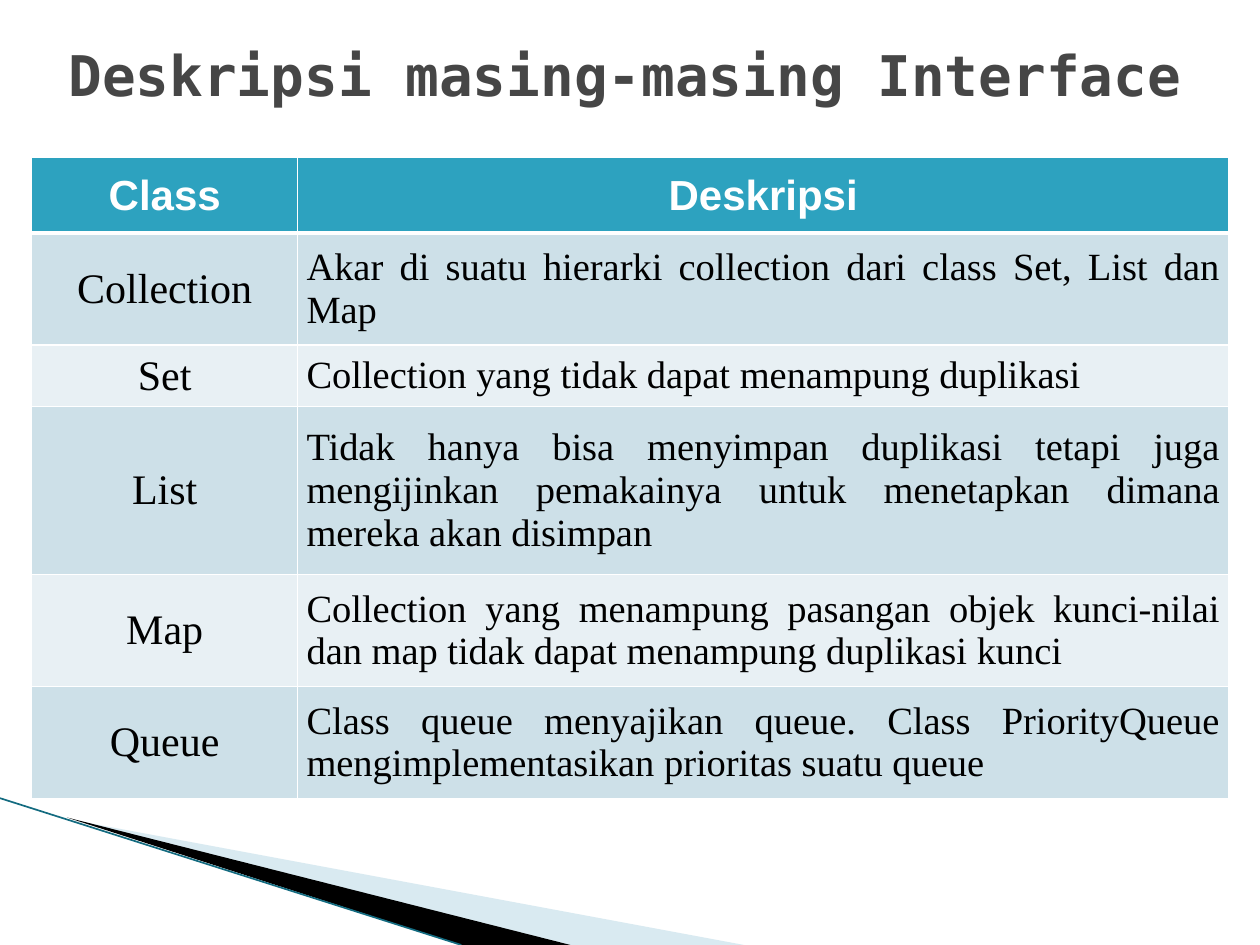
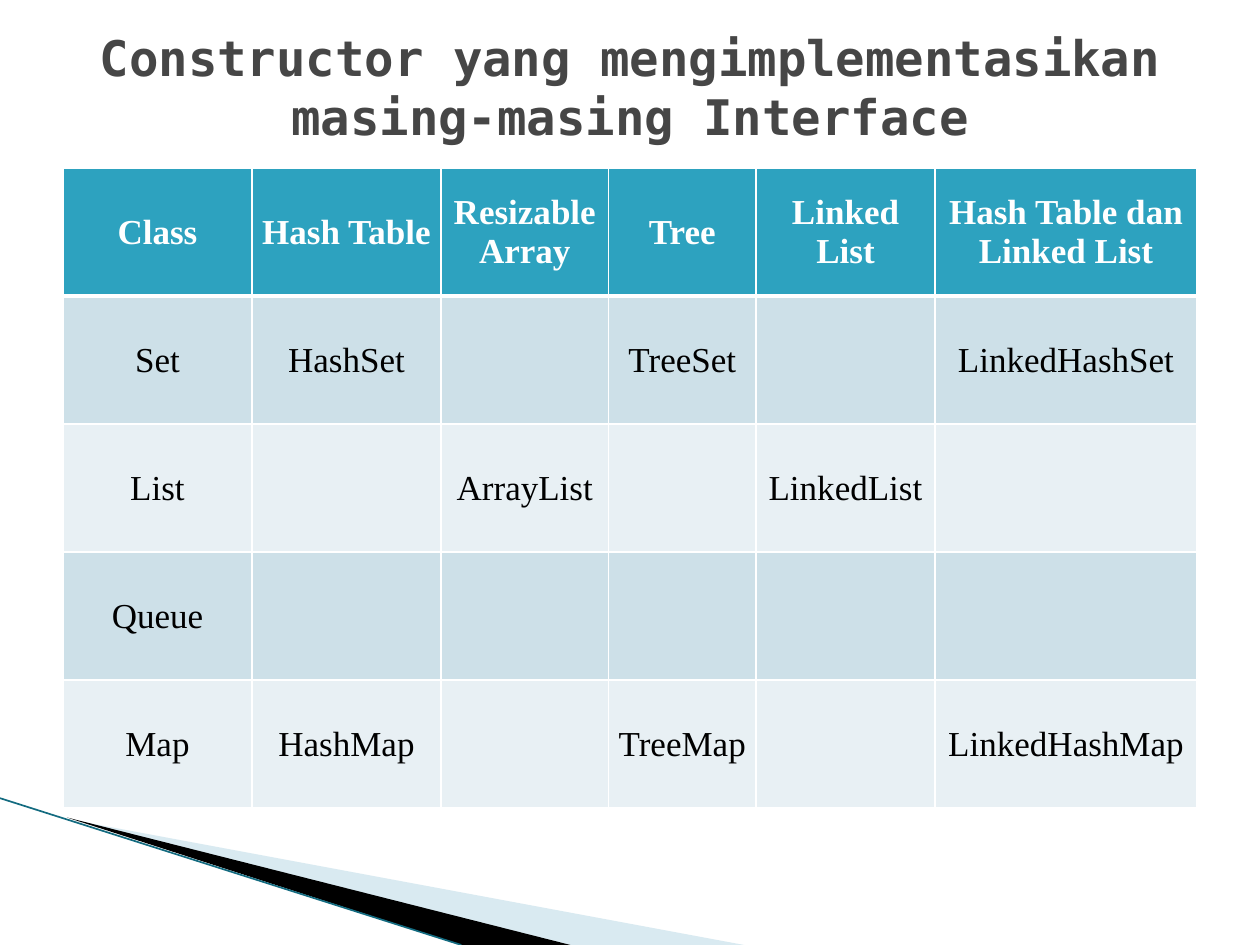
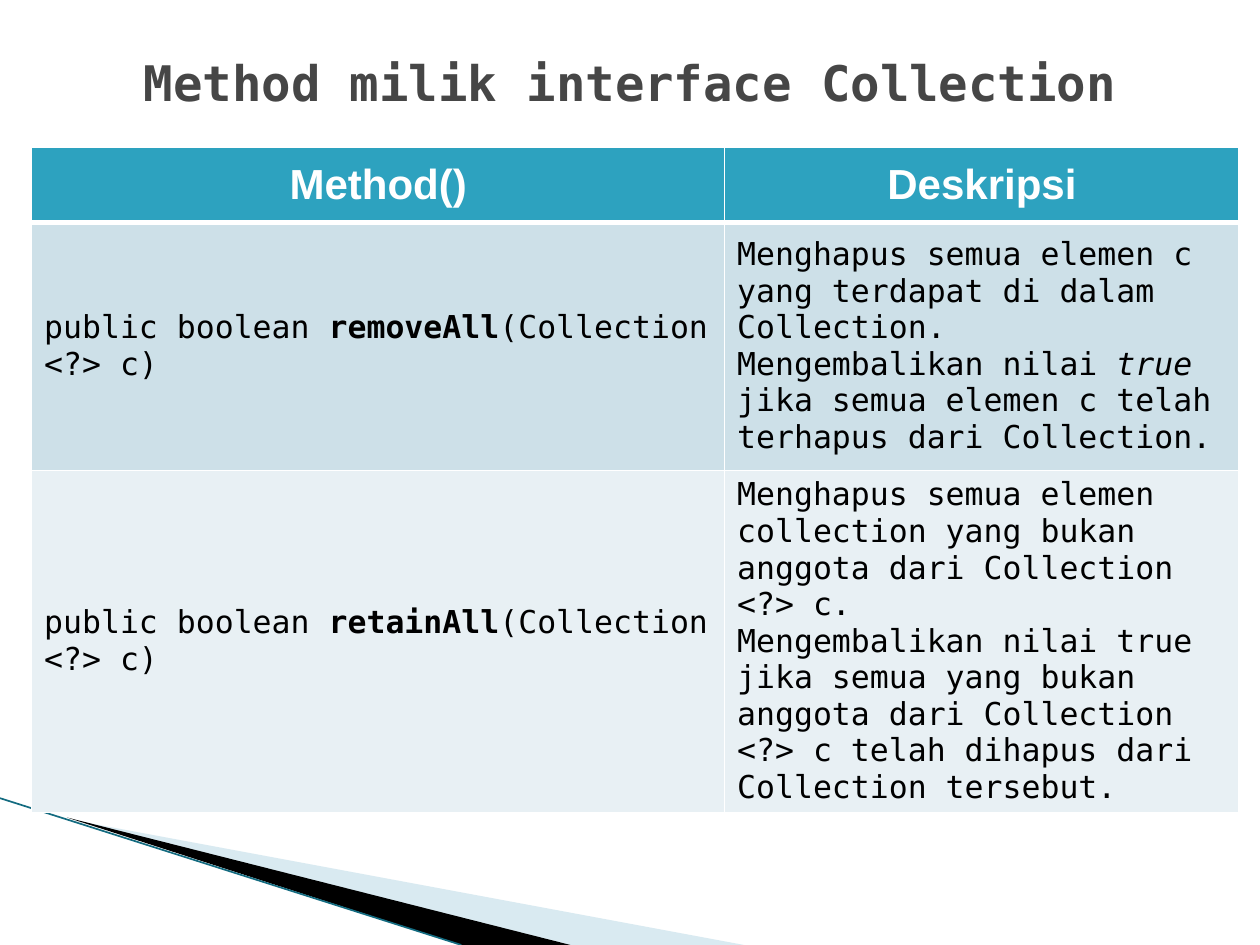
from lxml.etree import SubElement
from pptx import Presentation
from pptx.dml.color import RGBColor
from pptx.enum.shapes import MSO_CONNECTOR
from pptx.enum.text import MSO_ANCHOR, MSO_AUTO_SIZE, PP_ALIGN
from pptx.oxml.ns import qn
from pptx.util import Cm, Pt

MONO, SERIF, SANS = "DejaVu Sans Mono", "Times New Roman", "Arial"
TITLE_GREY, TEAL, WHITE, BLACK = "464646", "2DA2BF", "FFFFFF", "000000"
BANDS = ["E8F0F4", "CDE0E8"]
WEDGE_BLUE, EDGE_TEAL = "A0CBDC", "136B80"
LEFT, CENTER, JUSTIFY = PP_ALIGN.LEFT, PP_ALIGN.CENTER, PP_ALIGN.JUSTIFY


def set_color(color_format, hex_color):
    color_format.rgb = RGBColor.from_string(hex_color)


def add_border(cell, side, points):
    """Draw a white border on one side (L, R, T or B); call before filling the cell."""
    border = SubElement(cell._tc.get_or_add_tcPr(), qn(f"a:ln{side}"), w=str(Pt(points)))
    SubElement(SubElement(border, qn("a:solidFill")), qn("a:srgbClr"), val=WHITE)


# Lengths are in centimetres. In cells, \n starts a paragraph and *...* marks
# emphasis, which is shown in the style named for its column.
topics = [
    dict(
        title="Deskripsi masing-masing Interface",
        title_box=(0.64, 0.64, 23.93, 1.7), title_size=32,
        corner=(0.64, 3.18),
        columns=[5.36, 18.77],
        rows=[1.52, 2.26, 1.24, 3.38, 2.26, 2.26],
        header_font=SANS, header_size=24,
        body_font=SERIF, body_sizes=[24, 22],
        alignments=[CENTER, JUSTIFY], margins=(0.18, 0),
        cells=[
            ["Class", "Deskripsi"],
            ["Collection", "Akar di suatu hierarki collection dari class Set, List dan Map"],
            ["Set", "Collection yang tidak dapat menampung duplikasi"],
            ["List", "Tidak hanya bisa menyimpan duplikasi tetapi juga mengijinkan "
                     "pemakainya untuk menetapkan dimana mereka akan disimpan"],
            ["Map", "Collection yang menampung pasangan objek kunci-nilai dan map "
                    "tidak dapat menampung duplikasi kunci"],
            ["Queue", "Class queue menyajikan queue. Class PriorityQueue "
                      "mengimplementasikan prioritas suatu queue"],
        ],
    ),
    dict(
        title="Constructor yang mengimplementasikan masing-masing Interface",
        title_box=(1.27, 0.76, 22.86, 1.98), title_size=28,
        corner=(1.27, 3.39),
        columns=[3.81, 3.81, 3.38, 2.97, 3.61, 5.28],
        rows=[2.58] * 5,
        header_font=SERIF, header_size=20,
        body_font=SERIF, body_sizes=[20] * 6,
        alignments=[CENTER] * 6, margins=(0.18, 0),
        cells=[
            ["Class", "Hash Table", "Resizable Array", "Tree", "Linked List",
             "Hash Table dan\nLinked List"],
            ["Set", "HashSet", "", "TreeSet", "", "LinkedHashSet"],
            ["List", "", "ArrayList", "", "LinkedList", ""],
            ["Queue", "", "", "", "", ""],
            ["Map", "HashMap", "", "TreeMap", "", "LinkedHashMap"],
        ],
    ),
    dict(
        title="Method milik interface Collection",
        title_box=(1.27, 0.76, 22.86, 1.78), title_size=28,
        corner=(0.64, 2.96),
        columns=[13.97, 10.37],
        rows=[1.52, 5, 6.58],
        header_font=SANS, header_size=24,
        body_font=MONO, body_sizes=[18, 18],
        alignments=[LEFT, LEFT], margins=(0.25, 0.13),
        emphasis=["bold", "italic"],
        cells=[
            ["Method()", "Deskripsi"],
            ["public boolean *removeAll*(Collection <?> c)",
             "Menghapus semua elemen c yang terdapat di dalam Collection.\n"
             "Mengembalikan nilai *true* jika semua elemen c telah terhapus dari Collection."],
            ["public boolean *retainAll*(Collection <?> c)",
             "Menghapus semua elemen collection yang bukan anggota dari Collection <?> c.\n"
             "Mengembalikan nilai true jika semua yang bukan anggota dari Collection <?> c "
             "telah dihapus dari Collection tersebut."],
        ],
    ),
]

prs = Presentation()
prs.slide_width, prs.slide_height = Cm(25.4), Cm(19.05)
layout = prs.slide_layouts[5]
for placeholder in list(layout.placeholders)[1:]:
    layout.shapes.element.remove(placeholder.element)
slides = [prs.slides.add_slide(layout) for _ in topics]

# The corner wedges are drawn on the first slide, then moved to the shared layout.
shapes = slides[0].shapes
wedges = [
    (WEDGE_BLUE, [(1.4, 16.52), (15, 19.05), (11.5, 19.05)]),
    (BLACK, [(1.35, 16.48), (11.5, 19.05), (9.3, 19.05)]),
]
for wedge_color, corners in wedges:
    (start_x, start_y), *others = corners
    outline = shapes.build_freeform(Cm(start_x), Cm(start_y))
    outline.add_line_segments([(Cm(x), Cm(y)) for x, y in others])
    wedge = outline.convert_to_shape()
    wedge.shadow.inherit = False
    wedge.fill.solid()
    set_color(wedge.fill.fore_color, wedge_color)
    wedge.line.fill.background()
    if wedge_color == WEDGE_BLUE:
        tint = wedge.element.spPr.find(qn("a:solidFill"))[0]
        SubElement(tint, qn("a:alpha"), val="40000")
    layout.shapes.element.append(wedge.element)

edge = shapes.add_connector(MSO_CONNECTOR.STRAIGHT, 0, Cm(16.09), Cm(9.3), Cm(19.05))
set_color(edge.line.color, EDGE_TEAL)
edge.line.width = Pt(0.95)
SubElement(edge.element.spPr, qn("a:effectLst"))
layout.shapes.element.append(edge.element)

for slide, topic in zip(slides, topics):
    title = slide.shapes.title
    title.left, title.top, title.width, title.height = map(Cm, topic["title_box"])
    frame = title.text_frame
    frame.word_wrap = True
    frame.auto_size = MSO_AUTO_SIZE.NONE
    frame.vertical_anchor = MSO_ANCHOR.MIDDLE
    heading = frame.paragraphs[0]
    heading.alignment = CENTER
    run = heading.add_run()
    run.text = topic["title"]
    run.font.name, run.font.size, run.font.bold = MONO, Pt(topic["title_size"]), True
    set_color(run.font.color, TITLE_GREY)

    columns, rows = topic["columns"], topic["rows"]
    left, top = topic["corner"]
    table = slide.shapes.add_table(len(rows), len(columns), Cm(left), Cm(top),
                                   Cm(sum(columns)), Cm(sum(rows))).table
    for column, width in zip(table.columns, columns):
        column.width = Cm(width)
    for row, height in zip(table.rows, rows):
        row.height = Cm(height)

    for r, texts in enumerate(topic["cells"]):
        is_header = r == 0
        for c, text in enumerate(texts):
            cell = table.cell(r, c)
            for side in "LRTB":
                after_header = (is_header and side == "B") or (r == 1 and side == "T")
                add_border(cell, side, 3 if after_header else 1)
            cell.fill.solid()
            set_color(cell.fill.fore_color, TEAL if is_header else BANDS[r % 2])
            cell.vertical_anchor = MSO_ANCHOR.MIDDLE
            side_margin, end_margin = map(Cm, topic["margins"])
            cell.margin_left = cell.margin_right = side_margin
            cell.margin_top = cell.margin_bottom = end_margin
            if not text:
                continue
            for n, line in enumerate(text.split("\n")):
                frame = cell.text_frame
                paragraph = frame.add_paragraph() if n else frame.paragraphs[0]
                paragraph.alignment = CENTER if is_header else topic["alignments"][c]
                for piece_number, piece in enumerate(line.split("*")):
                    run = paragraph.add_run()
                    run.text = piece
                    font = run.font
                    font.name = topic["header_font"] if is_header else topic["body_font"]
                    font.size = Pt(topic["header_size"] if is_header else topic["body_sizes"][c])
                    font.bold = is_header
                    set_color(font.color, WHITE if is_header else BLACK)
                    if piece_number % 2:
                        setattr(font, topic["emphasis"][c], True)

prs.save("out.pptx")
